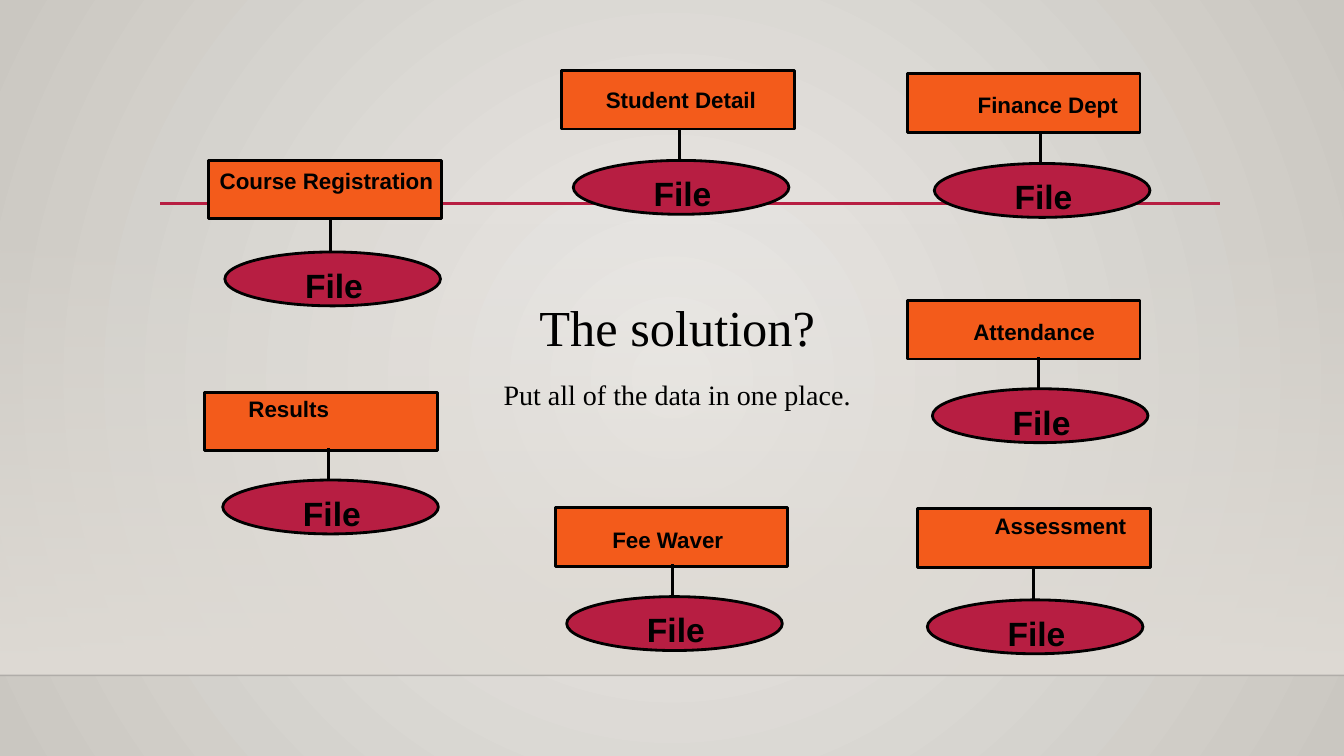
from lxml import etree
from pptx import Presentation
from pptx.dml.color import RGBColor
from pptx.enum import shapes, text
from pptx.oxml.ns import qn
from pptx.util import Pt

COLORS = {
    "bg_inner": "ECEAE7", "bg_outer": "CAC7C1", "wall": "DFDBD5",
    "floor": "000001", "red": "B71E42", "orange": "F35B1B", "black": "000000",
}
BOX_W, BOX_H = 166.3, 41.8
FILE_W, FILE_H = 154, 38.5

# name, box (x, y), label (x, y, width), file ellipse (x, y)
DEPARTMENTS = [
    ("Course Registration", (149, 114.5), (149, 115.9, 168.5), (160.6, 180)),
    ("Results", (146.2, 280.1), (169.9, 278.6, 72.7), (159.1, 342.9)),
    ("Attendance", (648, 214.6), (685.4, 223.9, 106.6), (666, 277.7)),
    ("Student Detail", (401, 50.4), (424.8, 58.3, 123.1), (409.5, 114.6)),
    ("Finance Dept", (648, 52.6), (690.5, 61.9, 115.9), (667.4, 116.8)),
    ("Fee Waver", (396.5, 362.7), (429.8, 372.2, 94.3), (404.8, 426.2)),
    ("Assessment", (655.4, 363.4), (702.7, 362.2, 109.4), (662.4, 428.5)),
]


def rgb(name):
    return RGBColor.from_string(COLORS[name])


def set_alpha(color_parent, percent):
    color = color_parent.find(".//" + qn("a:srgbClr"))
    etree.SubElement(color, qn("a:alpha"), val=str(percent * 1000))


def set_gradient(fill, first, last):
    fill.gradient()
    for stop, name, position in zip(fill.gradient_stops, (first, last), (0, 1)):
        stop.color.rgb = rgb(name)
        stop.position = position


def add_background(s):
    set_gradient(s.background.fill, "bg_inner", "bg_outer")
    grad = s.element.find(".//" + qn("a:gradFill"))
    linear = grad.find(qn("a:lin"))
    circle = etree.Element(qn("a:path"), path="circle")
    etree.SubElement(circle, qn("a:fillToRect"), l="50000", t="50000", r="50000", b="50000")
    grad.replace(linear, circle)


def add_wall(s):
    """Add the band that fades in from clear down to the floor line."""
    sp = s.shapes.add_shape(shapes.MSO_SHAPE.RECTANGLE, 0, Pt(159.1), Pt(960), Pt(323.3))
    sp.shadow.inherit = False
    sp.line.fill.background()
    set_gradient(sp.fill, "wall", "wall")
    sp.fill.gradient_angle = 270
    set_alpha(sp.element.find(".//" + qn("a:gs")), 0)


def add_line(s, x1, y1, x2, y2, color, width):
    line = s.shapes.add_connector(
        shapes.MSO_CONNECTOR.STRAIGHT, Pt(x1), Pt(y1), Pt(x2), Pt(y2))
    line.line.color.rgb = rgb(color)
    line.line.width = Pt(width)
    etree.SubElement(line.element.spPr, qn("a:effectLst"))
    return line


def add_outlined(s, kind, x, y, w, h, color):
    sp = s.shapes.add_shape(kind, Pt(x), Pt(y), Pt(w), Pt(h))
    sp.shadow.inherit = False
    sp.fill.solid()
    sp.fill.fore_color.rgb = rgb(color)
    sp.line.color.rgb = rgb("black")
    sp.line.width = Pt(2)


def format_text(p, size, font, bold=False):
    p.font.size = Pt(size)
    p.font.name = font
    p.font.bold = bold
    p.font.color.rgb = rgb("black")


def add_label(s, label, x, y, w, h, size):
    tf = s.shapes.add_textbox(Pt(x), Pt(y), Pt(w), Pt(h)).text_frame
    tf.word_wrap = False
    tf.text = label
    tf.paragraphs[0].alignment = text.PP_ALIGN.CENTER
    format_text(tf.paragraphs[0], size, "Arial", True)


def add_message(s):
    tf = s.shapes.add_textbox(Pt(349.9), Pt(199.4), Pt(267.8), Pt(129.6)).text_frame
    tf.word_wrap = True
    tf.text = "The solution?\nPut all of the data in one place."
    for p, size, before in zip(tf.paragraphs, (36, 20), (0, 10)):
        p.alignment = text.PP_ALIGN.CENTER
        p.line_spacing = 1.2
        p.space_before = Pt(before)
        format_text(p, size, "Times New Roman")


def add_department(s, name, box, label, file):
    add_outlined(s, shapes.MSO_SHAPE.RECTANGLE, *box, BOX_W, BOX_H, "orange")
    add_label(s, name, *label, 26.6, 16)
    x, y = file
    add_outlined(s, shapes.MSO_SHAPE.OVAL, x, y, FILE_W, FILE_H, "red")
    add_label(s, "File", x + 49.9, y + 5.5, 56.2, 36, 24)
    add_line(s, x + 75.6, y + 1, x + 75.6, y - 23, "black", 2)


def main():
    prs = Presentation()
    prs.slide_width, prs.slide_height = Pt(960), Pt(540)
    s = prs.slides.add_slide(prs.slide_layouts[6])
    add_background(s)
    add_wall(s)
    floor = add_line(s, 0, 482.4, 960, 482.4, "floor", 1)
    set_alpha(floor.element.spPr, 20)
    add_line(s, 114.5, 145.4, 871.2, 145.4, "red", 2.5)
    add_message(s)
    for department in DEPARTMENTS:
        add_department(s, *department)
    prs.save("out.pptx")


if __name__ == "__main__":
    main()
